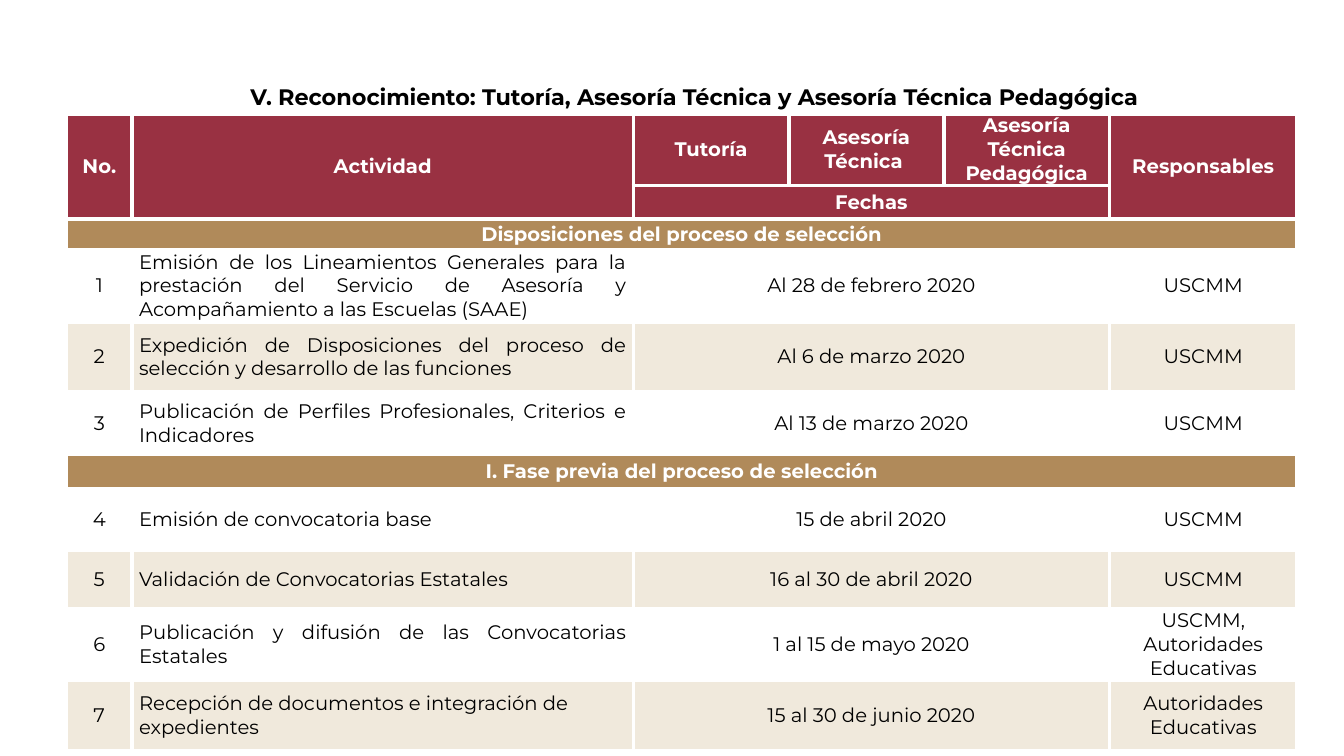
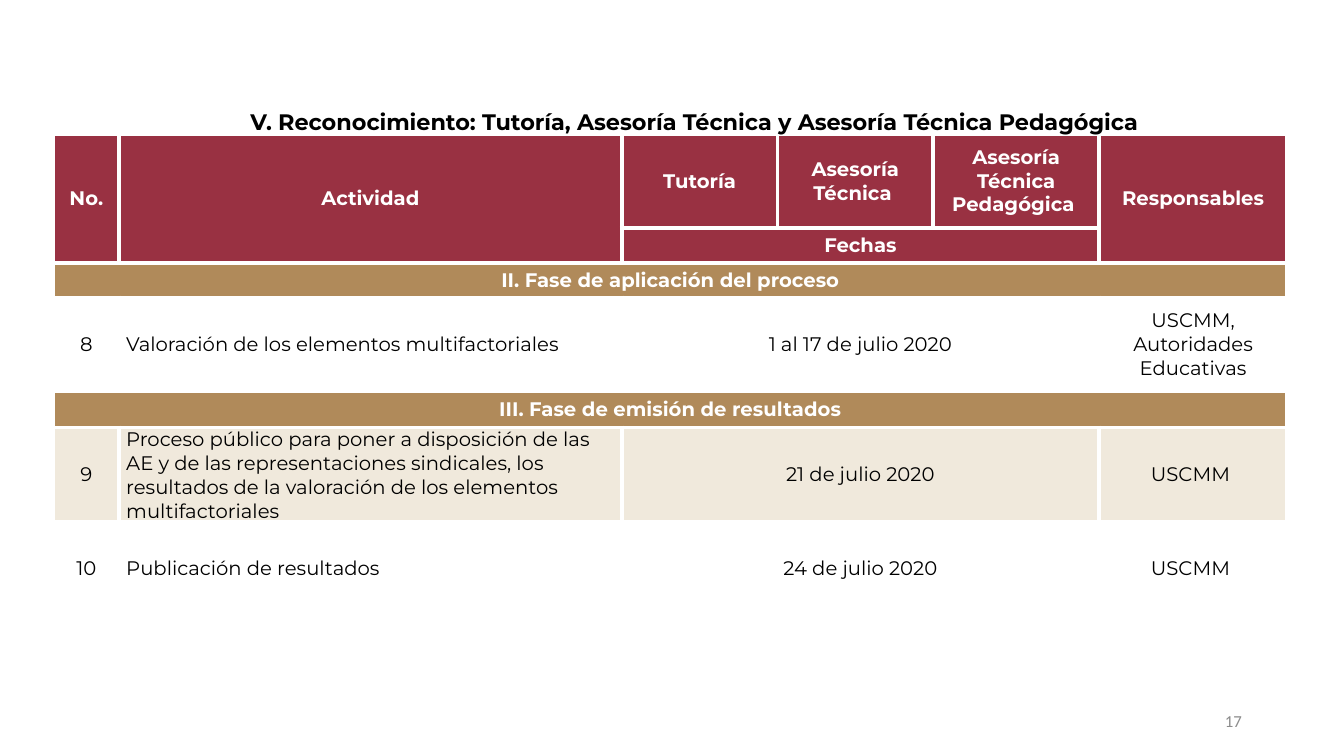
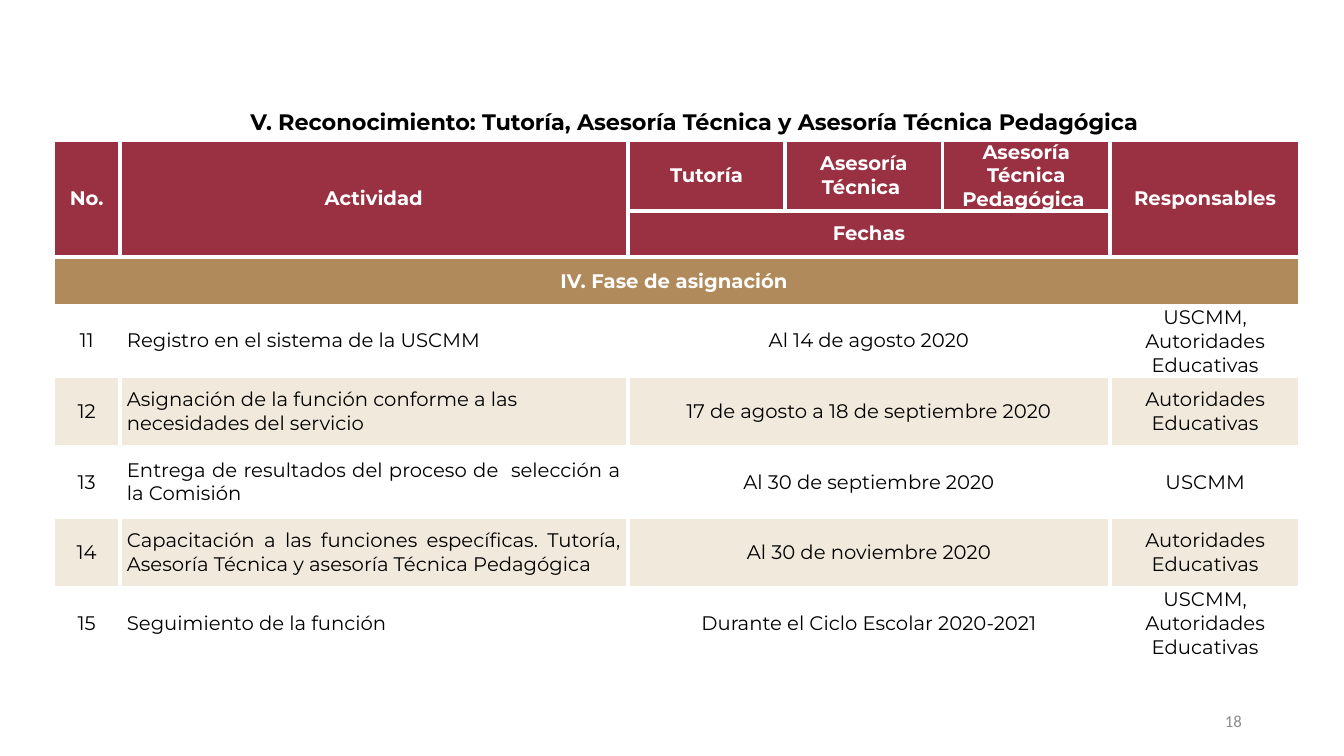
import dataclasses

import pptx
import pptx.dml.color
import pptx.enum.text
import pptx.oxml
import pptx.oxml.ns
import pptx.util

Pt = pptx.util.Pt
ALIGN = pptx.enum.text.PP_ALIGN
MIDDLE = pptx.enum.text.MSO_ANCHOR.MIDDLE
FIT = pptx.enum.text.MSO_AUTO_SIZE.SHAPE_TO_FIT_TEXT


@dataclasses.dataclass(frozen=True)
class Theme:
    """Colours, fonts, type sizes and table proportions of the deck."""
    header: str = "993142"
    phase: str = "B08A5A"
    shaded: str = "F0E9DC"
    white: str = "FFFFFF"
    black: str = "000000"
    grey: str = "8C8C8C"
    font: str = "Montserrat"
    number_font: str = "Calibri"
    title_size: float = 16
    table_size: float = 14
    number_size: float = 12
    border: float = 3
    cell_margin: float = 5
    columns: tuple = (0.65, 4.97, 1.54, 1.54, 1.64, 1.86)


@dataclasses.dataclass(frozen=True)
class Activity:
    """One scheduled activity and how its row is set."""
    number: int
    task: str
    dates: str
    responsible: str
    shaded: bool = False
    justified: bool = False


THEME = Theme()
TITLE = "V. Reconocimiento: Tutoría, Asesoría Técnica y Asesoría Técnica Pedagógica"
UNIT = "USCMM"
AUTHORITIES = "Autoridades Educativas"
BOTH = f"{UNIT}, {AUTHORITIES}"

SCHEDULES = [
    dict(
        title_top=56.2, box=(47.5, 81.4, 879.1), page=None,
        heights=(50.4, 23.8, 22.3, 50.4, 50.4, 44.6, 24.5, 43.9, 41.8, 43.9, 50.4),
        adviser="Asesoría Técnica Pedagógica",
        entries=[
            "Disposiciones del proceso de selección",
            Activity(1, "Emisión de los Lineamientos Generales para la prestación del "
                     "Servicio de Asesoría y Acompañamiento a las Escuelas (SAAE)",
                     "Al 28 de febrero 2020", UNIT, justified=True),
            Activity(2, "Expedición de Disposiciones del proceso de selección y "
                     "desarrollo de las funciones",
                     "Al 6 de marzo 2020", UNIT, shaded=True, justified=True),
            Activity(3, "Publicación de Perfiles Profesionales, Criterios e Indicadores",
                     "Al 13 de marzo 2020", UNIT, justified=True),
            "I. Fase previa del proceso de selección",
            Activity(4, "Emisión de convocatoria base", "15 de abril 2020", UNIT,
                     justified=True),
            Activity(5, "Validación de Convocatorias Estatales",
                     "16 al 30 de abril 2020", UNIT, shaded=True, justified=True),
            Activity(6, "Publicación y difusión de las Convocatorias Estatales",
                     "1 al 15 de mayo 2020", BOTH, justified=True),
            Activity(7, "Recepción de documentos e integración de expedientes",
                     "15 al 30 de junio 2020", AUTHORITIES, shaded=True),
        ]),
    dict(
        title_top=73.4, box=(38.2, 95.8, 881.3), page=17,
        heights=(67, 25.2, 24.5, 67, 25.9, 67, 67),
        adviser="Asesoría Técnica Pedagógica ",
        entries=[
            "II. Fase de aplicación del proceso",
            Activity(8, "Valoración de los elementos multifactoriales",
                     "1 al 17 de julio 2020", BOTH),
            "III. Fase de emisión de resultados",
            Activity(9, "Proceso público para poner a disposición de las AE y de las "
                     "representaciones sindicales, los resultados de la valoración de "
                     "los elementos multifactoriales",
                     "21 de julio 2020", UNIT + " ", shaded=True),
            Activity(10, "Publicación de resultados ", "24 de julio 2020", UNIT + " "),
        ]),
    dict(
        title_top=73.4, box=(38.2, 100.1, 890.6), page=18,
        heights=(50.4, 33.1, 34.6) + (50.4,) * 5,
        adviser="Asesoría Técnica Pedagógica ",
        entries=[
            "IV. Fase de asignación ",
            Activity(11, "Registro en el sistema de la USCMM ",
                     "Al 14 de agosto 2020", BOTH),
            Activity(12, "Asignación de la función conforme a las necesidades del servicio",
                     "17 de agosto a 18 de septiembre 2020", AUTHORITIES, shaded=True),
            Activity(13, "Entrega de resultados del proceso de  selección a la Comisión",
                     "Al 30 de septiembre 2020", UNIT, justified=True),
            Activity(14, "Capacitación a las funciones específicas. Tutoría, Asesoría "
                     "Técnica y asesoría Técnica Pedagógica",
                     "Al 30 de noviembre 2020", AUTHORITIES, shaded=True, justified=True),
            Activity(15, "Seguimiento de la función ",
                     "Durante el Ciclo Escolar 2020-2021", BOTH),
        ]),
]


def write(frame, text, *, size=THEME.table_size, color=THEME.black, bold=False,
          font=THEME.font, align=ALIGN.CENTER):
    """Write one formatted paragraph into a text frame."""
    paragraph = frame.paragraphs[0]
    paragraph.alignment = align
    run = paragraph.add_run()
    run.text = text
    run.font.size = Pt(size)
    run.font.name = font
    run.font.bold = bold
    run.font.color.rgb = pptx.dml.color.RGBColor.from_string(color)


def add_label(slide, box, text, *, anchor=None, fit=None, **style):
    """Add a wrapped text box filling the given box."""
    frame = slide.shapes.add_textbox(*map(Pt, box)).text_frame
    frame.word_wrap = True
    if anchor is not None:
        frame.vertical_anchor = anchor
    if fit is not None:
        frame.auto_size = fit
    write(frame, text, **style)


def prepare_cell(cell):
    """Give a cell its margins, anchor and white borders."""
    cell.margin_left = cell.margin_right = Pt(THEME.cell_margin)
    cell.margin_top = cell.margin_bottom = 0
    cell.vertical_anchor = MIDDLE
    properties = cell._tc.get_or_add_tcPr()
    for side in ("lnL", "lnR", "lnT", "lnB"):
        properties.append(pptx.oxml.parse_xml(
            f'<a:{side} {pptx.oxml.ns.nsdecls("a")} w="{Pt(THEME.border)}">'
            f'<a:solidFill><a:srgbClr val="{THEME.white}"/></a:solidFill></a:{side}>'))


def fill_cell(table, row, column, text, fill, *, rows=1, columns=1, **style):
    """Merge, colour and write one cell of the table."""
    cell = table.cell(row, column)
    if rows > 1 or columns > 1:
        cell.merge(table.cell(row + rows - 1, column + columns - 1))
    cell.fill.solid()
    cell.fill.fore_color.rgb = pptx.dml.color.RGBColor.from_string(fill)
    write(cell.text_frame, text, **style)


def add_header(table, adviser):
    """Fill the two header rows."""
    style = dict(color=THEME.white, bold=True)
    for column, heading in ((0, "No."), (1, "Actividad"), (5, "Responsables")):
        fill_cell(table, 0, column, heading, THEME.header, rows=2, **style)
    for column, role in enumerate(("Tutoría", "Asesoría Técnica ", adviser), 2):
        fill_cell(table, 0, column, role, THEME.header, **style)
    fill_cell(table, 1, 2, "Fechas", THEME.header, columns=3, **style)


def add_activity(table, row, activity):
    """Fill one activity row."""
    fill = THEME.shaded if activity.shaded else THEME.white
    task_align = ALIGN.JUSTIFY if activity.justified else ALIGN.LEFT
    fill_cell(table, row, 0, str(activity.number), fill)
    fill_cell(table, row, 1, activity.task, fill, align=task_align)
    fill_cell(table, row, 2, activity.dates, fill, columns=3)
    fill_cell(table, row, 5, activity.responsible, fill)


def add_schedule(slide, box, heights, adviser, entries):
    """Place the schedule table at the left, top and width of the box."""
    left, top, width = box
    table = slide.shapes.add_table(
        len(heights), len(THEME.columns),
        Pt(left), Pt(top), Pt(width), Pt(sum(heights))).table
    table.first_row = table.horz_banding = False
    for column, share in zip(table.columns, THEME.columns):
        column.width = Pt(width * share / sum(THEME.columns))
    for row, height in zip(table.rows, heights):
        row.height = Pt(height)
    for cell in table.iter_cells():
        prepare_cell(cell)
    add_header(table, adviser)
    for row, entry in enumerate(entries, 2):
        if isinstance(entry, Activity):
            add_activity(table, row, entry)
        else:
            fill_cell(table, row, 0, entry, THEME.phase, columns=len(THEME.columns),
                      color=THEME.white, bold=True)


def add_schedule_slide(deck, title_top, page, **schedule):
    """Build a slide with page number, schedule table and title."""
    slide = deck.slides.add_slide(deck.slide_layouts[6])
    if page:
        add_label(slide, (678.2, 500.4, 216, 28.8), str(page), anchor=MIDDLE,
                  size=THEME.number_size, font=THEME.number_font,
                  color=THEME.grey, align=ALIGN.RIGHT)
    add_schedule(slide, **schedule)
    add_label(slide, (47.5, title_top, 897.1, 26.6), TITLE, fit=FIT,
              size=THEME.title_size, bold=True)


def main():
    """Build and save the deck."""
    deck = pptx.Presentation()
    deck.slide_width, deck.slide_height = Pt(960), Pt(540)
    for schedule in SCHEDULES:
        add_schedule_slide(deck, **schedule)
    deck.save("out.pptx")


main()
